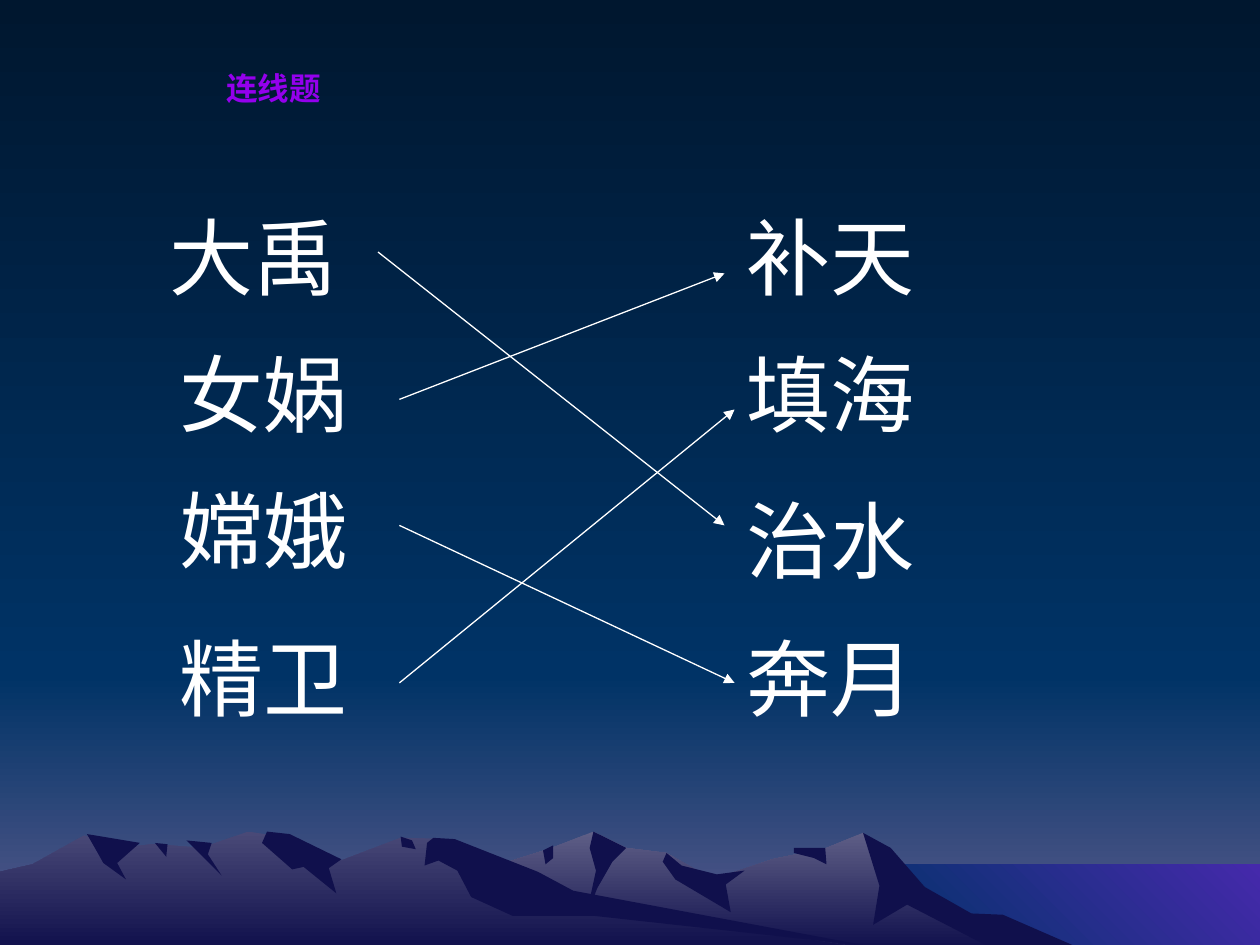
from dataclasses import dataclass

from lxml import etree
from pptx import Presentation
from pptx import util as u
from pptx.dml.color import RGBColor
from pptx.enum import shapes, text
from pptx.oxml.ns import qn

SLIDE_WIDTH, SLIDE_HEIGHT = 10, 7.5
WHITE = "FFFFFF"
NIGHT = "00172F"
HORIZON = "003366"
HAZE = "5B5B8D"
SEA = "4529AB"
SHADE = "10104C"
TITLE_COLOR = "9400ED"
WORD_WIDTH, WORD_HEIGHT = 1.75, 0.9


@dataclass
class Word:
    """A word, its corner, and the point where its arrow starts or ends."""
    label: str
    left: float
    top: float
    arrow_end: tuple


@dataclass
class Ridge:
    """A skyline running left to right, and the shaded faces below it.

    Points are hundredths of an inch from the top left of the mountain strip.
    """
    color: str
    skyline: list
    faces: dict


ROW_TOPS = [1.58, 2.67, 3.75, 4.92]
LEFT, RIGHT = 1.33, 5.83
# Each hero is joined to the deed on the same line.
ANSWERS = [
    (Word("大禹", 1.25, ROW_TOPS[0], (3, 2)), Word("治水", RIGHT, 3.83, (5.75, 4.17))),
    (Word("女娲", LEFT, ROW_TOPS[1], (3.17, 3.17)),
     Word("补天", RIGHT, ROW_TOPS[0], (5.75, 2.17))),
    (Word("嫦娥", LEFT, ROW_TOPS[2], (3.17, 4.17)),
     Word("奔月", RIGHT, ROW_TOPS[3], (5.83, 5.42))),
    (Word("精卫", LEFT, ROW_TOPS[3], (3.17, 5.42)),
     Word("填海", RIGHT, ROW_TOPS[1], (5.83, 3.25))),
]

MOUNTAIN_BASE = 94
FAR_RIDGE = Ridge(
    "5F5F87",
    [(258, 94), (327, 52), (394, 28), (438, 14), (471, 1), (497, 14), (529, 18),
     (566, 39), (613, 23), (656, 14), (685, 2), (723, 40), (763, 66), (821, 94)],
    {
        "east slope": [(685, 2), (707, 14), (734, 45), (771, 66), (796, 67),
                       (858, 94), (788, 94), (720, 59), (693, 75), (698, 44)],
        "main gully": [(471, 1), (497, 14), (486, 25), (474, 46), (465, 69),
                       (473, 32), (468, 14)],
        "right shoulder": [(529, 18), (541, 28), (569, 35), (591, 32), (576, 43),
                           (580, 65), (536, 39), (526, 25)],
        "saddle": [(630, 14), (655, 14), (656, 27), (646, 22), (630, 18)],
        "small cleft": [(431, 16), (439, 12), (439, 22), (433, 27)],
    })
NEAR_RIDGE = Ridge(
    "494977",
    [(0, 33), (26, 27), (67, 4), (94, 14), (122, 11), (160, 14), (197, 1),
     (223, 5), (271, 24), (318, 6), (354, 7), (432, 55), (690, 94)],
    {
        "central peak": [(212, 1), (230, 3), (271, 23), (261, 30), (267, 50),
                         (241, 29), (232, 31), (208, 10)],
        "long slope": [(344, 6), (361, 7), (427, 33), (455, 48), (690, 92),
                       (472, 68), (407, 68), (374, 53), (363, 32), (348, 24),
                       (337, 28), (339, 10)],
        "notch": [(318, 5), (327, 8), (330, 15), (319, 13)],
        "left gully": [(148, 8), (168, 10), (165, 19), (176, 36)],
        "left cleft": [(123, 10), (133, 11), (132, 21)],
        "west peak": [(69, 3), (111, 10), (93, 26), (100, 39), (82, 26), (77, 17)],
    })


def color(value):
    return RGBColor.from_string(value)


def set_gradient(fill, start, end, clockwise=90):
    fill.gradient()
    fill.gradient_angle = 360 - clockwise
    for stop, value, position in zip(fill.gradient_stops, (start, end), (0, 1)):
        stop.color.rgb = color(value)
        stop.position = position


def finish(shape, *colors, clockwise=90):
    """Fill with one colour or a gradient of two, without line or shadow."""
    if len(colors) == 2:
        set_gradient(shape.fill, *colors, clockwise=clockwise)
    else:
        shape.fill.solid()
        shape.fill.fore_color.rgb = color(colors[0])
    shape.line.fill.background()
    shape.shadow.inherit = False


def add_panel(slide, left, top, width, height, *colors, clockwise=90):
    panel = slide.shapes.add_shape(
        shapes.MSO_SHAPE.RECTANGLE, *map(u.Inches, (left, top, width, height)))
    finish(panel, *colors, clockwise=clockwise)


def add_outline(slide, left, top, points, *colors):
    builder = slide.shapes.build_freeform(*points[0], scale=u.Inches(0.01))
    builder.add_line_segments(points[1:], close=True)
    finish(builder.convert_to_shape(u.Inches(left), u.Inches(top)), *colors)


def add_ridge(slide, left, top, ridge):
    """Close the skyline along the base, then lay the shaded faces over it."""
    first_x, last_x = ridge.skyline[0][0], ridge.skyline[-1][0]
    base = [(last_x, MOUNTAIN_BASE), (first_x, MOUNTAIN_BASE)]
    add_outline(slide, left, top, ridge.skyline + base, ridge.color, SHADE)
    for face in ridge.faces.values():
        add_outline(slide, left, top, face, SHADE)


def add_landscape(slide, width, height):
    horizon_top, sea_left, sea_top, mountain_top = 5.36, 6.83, 6.86, 6.59
    set_gradient(slide.background.fill, NIGHT, HORIZON)
    add_panel(slide, 0, horizon_top, width, height - horizon_top, HORIZON, HAZE)
    add_panel(slide, 0, 0, width, horizon_top, NIGHT, HORIZON)
    add_panel(slide, sea_left, sea_top, width - sea_left, height - sea_top,
              SEA, HORIZON, clockwise=135)
    for ridge in (FAR_RIDGE, NEAR_RIDGE):
        add_ridge(slide, 0, mountain_top, ridge)


def add_text(slide, left, top, width, height, words, size, font, font_color):
    box = slide.shapes.add_textbox(*map(u.Inches, (left, top, width, height)))
    box.text_frame.word_wrap = True
    paragraph = box.text_frame.paragraphs[0]
    paragraph.text = words
    run = paragraph.runs[0]
    run.font.size = u.Pt(size)
    run.font.name = font
    run.font.color.rgb = color(font_color)
    return paragraph


def add_title(slide, left, top, width, height):
    paragraph = add_text(slide, left, top, width, height, "连线题", 18,
                         "Noto Sans CJK SC", TITLE_COLOR)
    paragraph.alignment = text.PP_ALIGN.CENTER
    paragraph.runs[0].font.bold = True


def add_word(slide, word):
    add_text(slide, word.left, word.top, WORD_WIDTH, WORD_HEIGHT,
             word.label, 48, "Arial", WHITE)


def add_arrow(slide, start, end):
    arrow = slide.shapes.add_connector(
        shapes.MSO_CONNECTOR.STRAIGHT, *map(u.Inches, start + end))
    arrow.line.color.rgb = color(WHITE)
    arrow.line.width = u.Pt(0.75)
    properties = arrow._element.spPr
    etree.SubElement(properties.find(qn("a:ln")), qn("a:tailEnd"), type="triangle")
    etree.SubElement(properties, qn("a:effectLst"))


def add_matching_exercise(slide, answers):
    for hero, deed in answers:
        add_word(slide, hero)
        add_word(slide, deed)
        add_arrow(slide, hero.arrow_end, deed.arrow_end)


def main():
    presentation = Presentation()
    presentation.slide_width = u.Inches(SLIDE_WIDTH)
    presentation.slide_height = u.Inches(SLIDE_HEIGHT)
    slide = presentation.slides.add_slide(presentation.slide_layouts[6])
    add_landscape(slide, SLIDE_WIDTH, SLIDE_HEIGHT)
    add_matching_exercise(slide, ANSWERS)
    add_title(slide, 0.67, 0.5, 3, 0.92)
    presentation.save("out.pptx")


if __name__ == "__main__":
    main()
